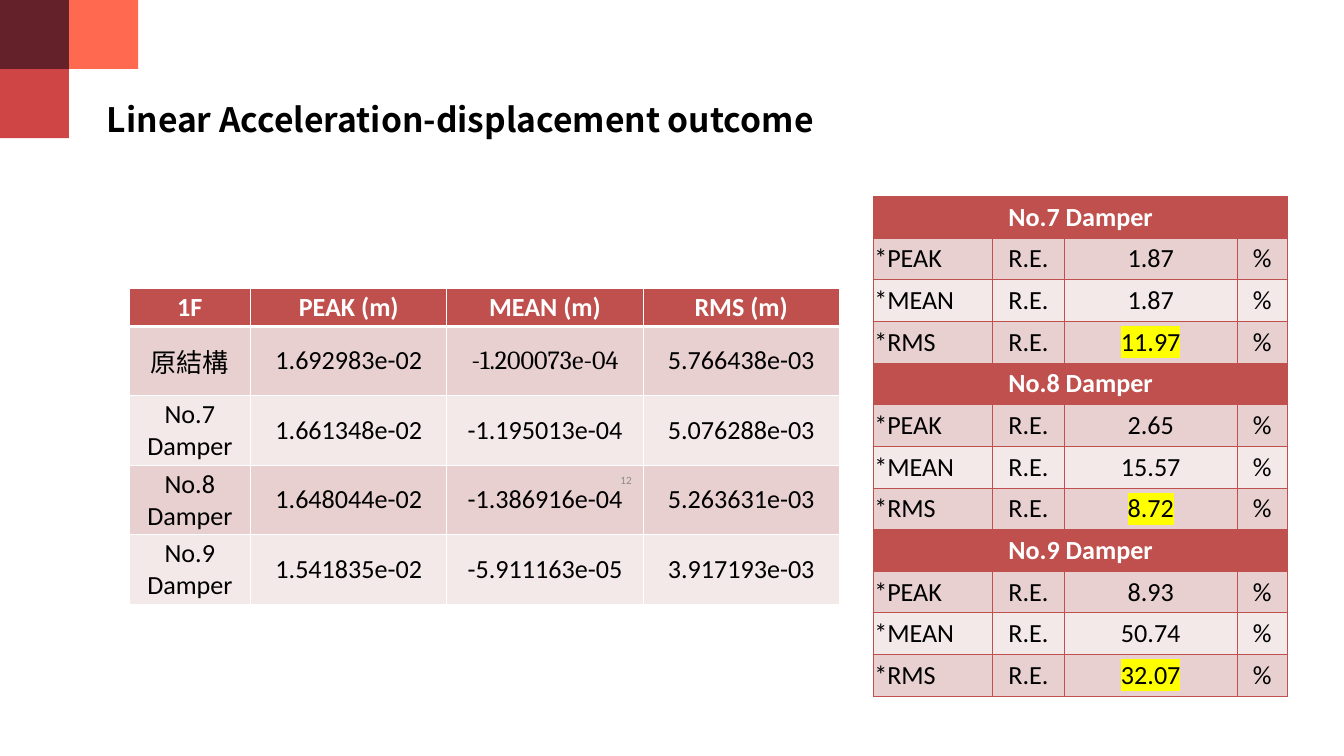
from dataclasses import dataclass

from lxml import etree
from pptx import Presentation
from pptx import util as u
from pptx.dml.color import RGBColor
from pptx.enum import shapes, text
from pptx.oxml.ns import qn

COLUMNS, ROWS = 80, 45
UNIT = u.Inches(0.25)


@dataclass(frozen=True)
class Theme:
    dark: str = "65212A"
    red: str = "CF4545"
    coral: str = "FF6950"
    header: str = "C0504D"
    band_odd: str = "E8D0D0"
    band_even: str = "F4E9E9"
    ink: str = "000000"
    white: str = "FFFFFF"
    grey: str = "8C8C8C"
    mark: str = "FFFF00"
    body_font: str = "Calibri"
    serif_font: str = "Cambria"
    cjk_font: str = "Noto Sans CJK SC"
    title_size: int = 36
    table_size: int = 28
    number_size: int = 12


THEME = Theme()
ALIGN = text.PP_ALIGN
MIDDLE = text.MSO_ANCHOR.MIDDLE


def grid(count):
    return round(count * UNIT)


def write(frame, words, size=THEME.table_size, font=THEME.body_font,
          color=THEME.ink, bold=False, align=ALIGN.CENTER, highlight=None):
    paragraph = frame.paragraphs[0]
    paragraph.alignment = align
    run = paragraph.add_run()
    run.text = words
    run.font.size, run.font.bold = u.Pt(size), bold
    run.font.color.rgb = RGBColor.from_string(color)
    run.font.name = font
    properties = run.font._element
    if font == THEME.cjk_font:
        east_asian = etree.Element(qn("a:ea"), typeface=font)
        properties.find(qn("a:latin")).addnext(east_asian)
    if highlight:
        marker = etree.Element(qn("a:highlight"))
        etree.SubElement(marker, qn("a:srgbClr"), val=highlight)
        properties.find(qn("a:solidFill")).addnext(marker)


def draw_borders(cell, color, **widths):
    """Draw the cell's left, right, top and bottom lines, widths in points."""
    properties = cell._tc.get_or_add_tcPr()
    for index, side in enumerate("LRTB"):
        line = etree.Element(qn(f"a:ln{side}"), w=str(u.Pt(widths[side])))
        fill = etree.SubElement(line, qn("a:solidFill"))
        etree.SubElement(fill, qn("a:srgbClr"), val=color)
        properties.insert(index, line)


class SlideBuilder:
    def __init__(self, slide, theme):
        self.slide, self.theme = slide, theme

    def square(self, column, row, side, color):
        box = self.slide.shapes.add_shape(
            shapes.MSO_SHAPE.RECTANGLE, *map(grid, (column, row, side, side)))
        box.shadow.inherit = False
        box.fill.solid()
        box.fill.fore_color.rgb = RGBColor.from_string(color)
        box.line.fill.background()

    def label(self, words, area, inset=None, anchor=text.MSO_ANCHOR.TOP, **style):
        frame = self.slide.shapes.add_textbox(*map(grid, area)).text_frame
        frame.word_wrap = True
        frame.vertical_anchor = anchor
        if inset is not None:
            frame.margin_left = frame.margin_right = inset
            frame.margin_top = frame.margin_bottom = inset
        write(frame, words, **style)

    def table(self, column, row, widths, heights):
        table = self.slide.shapes.add_table(
            len(heights), len(widths),
            *map(grid, (column, row, sum(widths), sum(heights)))).table
        for part, width in zip(table.columns, widths):
            part.width = grid(width)
        for part, height in zip(table.rows, heights):
            part.height = grid(height)
        return table

    def cell(self, cell, words, band, **style):
        """Fill one cell; band 0 is a header, odd and even bands alternate."""
        theme = self.theme
        color = (theme.header if band == 0
                 else theme.band_odd if band % 2 else theme.band_even)
        cell.fill.solid()
        cell.fill.fore_color.rgb = RGBColor.from_string(color)
        cell.vertical_anchor = MIDDLE
        if band == 0:
            style.update(color=theme.white, bold=True)
        if words:
            write(cell.text_frame, words, **style)

    def error_table(self, column, row, widths, row_height, dampers):
        measures = ("*PEAK", "*MEAN", "*RMS")
        lines = []
        for damper, values in dampers.items():
            lines.append((damper, "", "", ""))
            lines += [(name, "R.E.", value, "%")
                      for name, value in zip(measures, values)]
        table = self.table(column, row, widths, [row_height] * len(lines))
        for r, line in enumerate(lines):
            band = r % (len(measures) + 1)
            for c, words in enumerate(line):
                cell = table.cell(r, c)
                left = band and c == 0
                marked = band == len(measures) and c == 2
                self.cell(cell, words, band,
                          align=ALIGN.LEFT if left else ALIGN.CENTER,
                          highlight=self.theme.mark if marked else None)
                cell.margin_left = cell.margin_right = cell.margin_top = u.Inches(0.01)
                cell.margin_bottom = 0
                draw_borders(cell, self.theme.header, L=0.5, R=0.5, T=0.5, B=0.5)
            if band == 0:
                table.cell(r, 0).merge(table.cell(r, len(widths) - 1))

    def response_table(self, column, row, widths, heights, lines, fonts):
        table = self.table(column, row, widths, heights)
        for r, line in enumerate(lines):
            for c, words in enumerate(line):
                cell = table.cell(r, c)
                self.cell(cell, words, r,
                          font=fonts.get((r, c), self.theme.body_font))
                draw_borders(cell, self.theme.white, L=1, R=1,
                             T=3 if r == 1 else 1, B=3 if r == 0 else 1)


def main():
    deck = Presentation()
    deck.slide_width, deck.slide_height = COLUMNS * UNIT, ROWS * UNIT
    page = SlideBuilder(deck.slides.add_slide(deck.slide_layouts[6]), THEME)

    # Title
    page.label("Linear Acceleration-displacement outcome", (6.36, 5.88, 43.4, 2.44),
               inset=0, size=THEME.title_size, font=THEME.cjk_font, bold=True,
               align=ALIGN.LEFT)

    # Corner squares
    side = 4.11
    for column, row, color in ((0, 0, THEME.dark), (0, 1, THEME.red),
                               (1, 0, THEME.coral)):
        page.square(column * side, row * side, side, color)

    # Relative errors of each damper
    page.error_table(52, 11.68, (7.08, 4.28, 10.28, 3), 2.48, {
        "No.7 Damper": ("1.87", "1.87", "11.97"),
        "No.8 Damper": ("2.65", "15.57", "8.72"),
        "No.9 Damper": ("8.93", "50.74", "32.07"),
    })

    # First-floor responses
    responses = (
        ("1F", "PEAK (m)", "MEAN (m)", "RMS (m)"),
        ("原結構", "1.692983e-02", "-1.200073e-04", "5.766438e-03"),
        ("No.7 Damper", "1.661348e-02", "-1.195013e-04", "5.076288e-03"),
        ("No.8 Damper", "1.648044e-02", "-1.386916e-04", "5.263631e-03"),
        ("No.9 Damper", "1.541835e-02", "-5.911163e-05", "3.917193e-03"),
    )
    page.response_table(7.68, 17.16, [7.24] + [11.68] * 3, [1.52] + [4.12] * 4,
                        responses,
                        {(1, 0): THEME.cjk_font, (1, 2): THEME.serif_font})

    # Page number
    page.label("12", (28.68, 27.8, 9.32, 1.6), anchor=MIDDLE,
               size=THEME.number_size, color=THEME.grey, align=ALIGN.RIGHT)

    deck.save("out.pptx")


if __name__ == "__main__":
    main()
